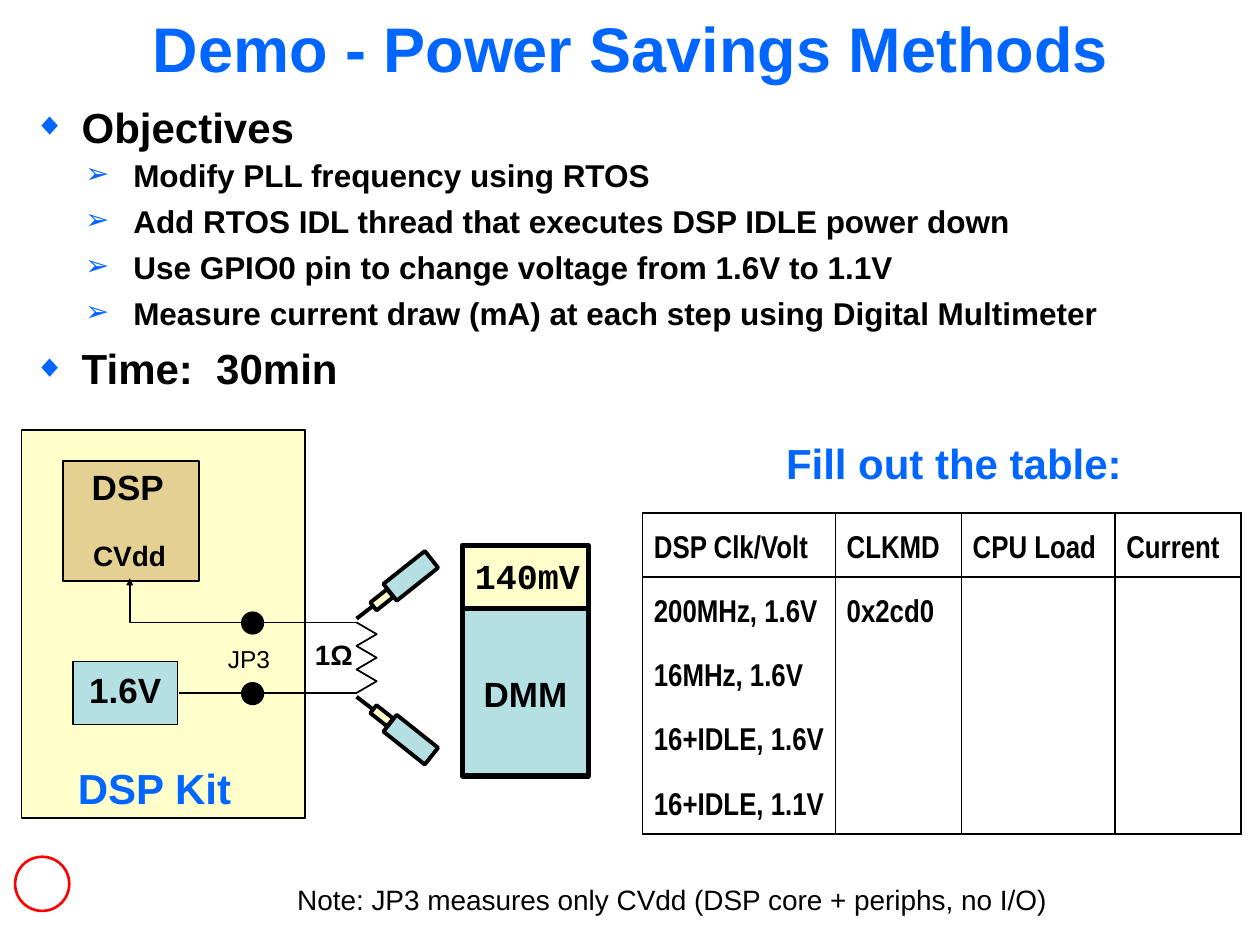
from lxml.etree import SubElement
from pptx import Presentation
from pptx.dml.color import RGBColor
from pptx.enum.shapes import MSO_CONNECTOR, MSO_SHAPE
from pptx.enum.text import MSO_ANCHOR, PP_ALIGN
from pptx.oxml.ns import qn
from pptx.util import Inches, Pt

BLACK, BLUE = "000000", "0066FF"
CREAM, TAN, TEAL = "FFFFCC", "E5D093", "B5E0E3"
TOP_WIRE, BOTTOM_WIRE = 4.94, 5.5
MIRROR = (TOP_WIRE + BOTTOM_WIRE) / 2
RESISTOR_LEFT = 2.83


def color(hex_text):
    return RGBColor.from_string(hex_text)


def format_text(para, size, ink=BLACK, bold=True, face="Arial"):
    for span in para.runs:
        span.font.size = Pt(size)
        span.font.bold = bold
        span.font.name = face
        span.font.color.rgb = color(ink)


def add_label(page, text, left, top, width, height, size, ink=BLACK, bold=True,
              face="Arial", spacing=0.8):
    box = page.shapes.add_textbox(Inches(left), Inches(top), Inches(width), Inches(height))
    box.text_frame.word_wrap = False
    box.text_frame.margin_right = Inches(0)
    box.text_frame.text = text
    for para in box.text_frame.paragraphs:
        para.alignment = PP_ALIGN.LEFT
        para.line_spacing = spacing
        format_text(para, size, ink, bold, face)
    return box


def add_title(page, text):
    title = add_label(page, text, 0.17, 0.17, 9.67, 1.25, 36, BLUE, spacing=0.75)
    frame = title.text_frame
    frame.word_wrap = True
    frame.margin_left = frame.margin_right = Inches(0.05)
    frame.paragraphs[0].alignment = PP_ALIGN.CENTER


def add_bullets(page, lines, left, top, width, height, size, symbol, percent,
                spacing=0.8, gap=0):
    box = add_label(page, "\n".join(lines), left, top, width, height, size, spacing=spacing)
    for index, para in enumerate(box.text_frame.paragraphs):
        properties = para._p.get_or_add_pPr()
        properties.set("marL", str(Inches(0.38)))
        properties.set("indent", str(Inches(-0.38)))
        bullet_color = SubElement(properties, qn("a:buClr"))
        SubElement(bullet_color, qn("a:srgbClr"), val=BLUE)
        SubElement(properties, qn("a:buSzPct"), val=str(percent * 1000))
        SubElement(properties, qn("a:buFont"), typeface="Arial")
        SubElement(properties, qn("a:buChar"), char=symbol)
        if index:
            para.space_before = Pt(gap)


def add_block(page, left, top, width, height, fill, weight=1,
              kind=MSO_SHAPE.RECTANGLE, rotation=0, edge=BLACK):
    block = page.shapes.add_shape(kind, Inches(left), Inches(top), Inches(width), Inches(height))
    block.shadow.inherit = False
    block.fill.solid()
    block.fill.fore_color.rgb = color(fill)
    block.line.color.rgb = color(edge)
    block.line.width = Pt(weight)
    block.rotation = rotation
    return block


def add_wire(page, start, end, weight=1, kind=MSO_CONNECTOR.STRAIGHT):
    wire = page.shapes.add_connector(kind, *(Inches(value) for value in (*start, *end)))
    wire.line.color.rgb = color(BLACK)
    wire.line.width = Pt(weight)
    SubElement(wire._element.spPr, qn("a:effectLst"))
    return wire


def add_supply_arrow(page):
    """Right-angled wire from the upper jumper pin up to CVdd."""
    arrow = add_wire(page, (1.03, 4.59), (1.92, TOP_WIRE), kind=MSO_CONNECTOR.ELBOW)
    properties = arrow._element.spPr
    properties.find(qn("a:xfrm")).set("rot", "10800000")
    properties.find(qn("a:prstGeom")).set("prst", "bentConnector2")
    SubElement(properties.find(qn("a:ln")), qn("a:tailEnd"), type="triangle", w="sm", len="sm")


def add_resistor(page):
    step = (BOTTOM_WIRE - TOP_WIRE) / 6
    points = [(Inches(RESISTOR_LEFT + 0.16 * (index % 2)), Inches(TOP_WIRE + step * index))
              for index in range(7)]
    builder = page.shapes.build_freeform(*points[0])
    builder.add_line_segments(points[1:], close=False)
    resistor = builder.convert_to_shape()
    resistor.shadow.inherit = False
    resistor.fill.background()
    resistor.line.color.rgb = color(BLACK)
    resistor.line.width = Pt(1)


def add_probe(page, side):
    """Meter probe above (side -1) or below (side 1) the resistor."""
    angle = 180 + side * 38.5
    for center_x, offset, width, height, fill in (
            (3.26, 0.65, 0.42, 0.17, TEAL), (3.03, 0.46, 0.17, 0.08, CREAM)):
        add_block(page, center_x - width / 2, MIRROR + side * offset - height / 2,
                  width, height, fill, 2.25, rotation=angle)
    add_wire(page, (2.96, MIRROR + side * 0.41), (RESISTOR_LEFT, MIRROR + side * 0.31), 2.25)


def add_board(page):
    add_block(page, 0.17, 3.41, 2.25, 3.08, CREAM)
    add_block(page, 0.5, 3.66, 1.08, 0.95, TAN)
    add_label(page, "DSP", 0.63, 3.71, 0.86, 0.37, 20)
    add_label(page, "CVdd", 0.64, 4.28, 0.78, 0.32, 16)
    supply = add_block(page, 0.58, 5.25, 0.83, 0.5, TEAL)
    frame = supply.text_frame
    frame.text = "1.6V"
    frame.word_wrap = False
    frame.vertical_anchor = MSO_ANCHOR.MIDDLE
    frame.paragraphs[0].alignment = PP_ALIGN.CENTER
    frame.paragraphs[0].line_spacing = 0.8
    format_text(frame.paragraphs[0], 20)
    add_label(page, "DSP Kit", 0.52, 6.08, 1.64, 0.42, 24, BLUE)
    add_label(page, "JP3", 1.71, 5.11, 0.53, 0.29, 14, bold=False)


def add_circuit(page):
    for height in (TOP_WIRE, BOTTOM_WIRE):
        add_block(page, 1.92, height - 0.08, 0.17, 0.17, BLACK, kind=MSO_SHAPE.OVAL)
        add_wire(page, (1.92, height), (RESISTOR_LEFT, height))
    add_wire(page, (1.42, BOTTOM_WIRE), (1.92, BOTTOM_WIRE))
    add_supply_arrow(page)
    add_resistor(page)
    add_label(page, "1Ω", 2.4, 5.06, 0.49, 0.32, 16)
    for side in (-1, 1):
        add_probe(page, side)


def add_meter(page):
    add_block(page, 3.67, 4.83, 1, 1.33, TEAL, 3)
    add_block(page, 3.67, 4.33, 1, 0.5, CREAM, 3)
    add_label(page, "140mV", 3.67, 4.42, 1.03, 0.37, 20, face="Courier New")
    add_label(page, "DMM", 3.74, 5.35, 0.86, 0.37, 20)


def set_borders(cell, visible):
    properties = cell._tc.get_or_add_tcPr()
    for side in "LRTB":
        border = SubElement(properties, qn("a:ln" + side), w=str(Pt(1)))
        if side in visible:
            fill = SubElement(border, qn("a:solidFill"))
            SubElement(fill, qn("a:srgbClr"), val=BLACK)
        else:
            SubElement(border, qn("a:noFill"))


def add_results_table(page):
    rows = [("DSP Clk/Volt", "CLKMD", "CPU Load", "Current"),
            ("200MHz, 1.6V", "0x2cd0", "", ""),
            ("16MHz, 1.6V", "", "", ""),
            ("16+IDLE, 1.6V", "", "", ""),
            ("16+IDLE, 1.1V", "", "", "")]
    widths = (1.53, 1, 1.22, 1)
    table = page.shapes.add_table(len(rows), len(widths), Inches(5.1), Inches(4.07),
                                  Inches(sum(widths)), Inches(2.55)).table
    table.first_row = table.horz_banding = False
    for column, width in zip(table.columns, widths):
        column.width = Inches(width)
    for row_index, texts in enumerate(rows):
        table.rows[row_index].height = Inches(0.51)
        visible = "LR" + {0: "TB", 1: "T", len(rows) - 1: "B"}.get(row_index, "")
        for column_index, text in enumerate(texts):
            cell = table.cell(row_index, column_index)
            cell.text = text
            cell.margin_left, cell.margin_right = Inches(0.09), Inches(0)
            cell.margin_top, cell.margin_bottom = Inches(0.1), Inches(0.02)
            cell.vertical_anchor = MSO_ANCHOR.MIDDLE
            set_borders(cell, visible)
            cell.fill.background()
            format_text(cell.text_frame.paragraphs[0], 18, face="Arial Narrow")


def main():
    deck = Presentation()
    deck.slide_width, deck.slide_height = Inches(10), Inches(7.5)
    page = deck.slides.add_slide(deck.slide_layouts[6])
    add_title(page, "Demo - Power Savings Methods")
    add_block(page, 0.12, 6.8, 0.43, 0.43, "FFFFFF", 1.5, MSO_SHAPE.OVAL, edge="FF0000")
    add_bullets(page, ["Objectives"], 0.17, 0.83, 2.36, 0.42, 24, "◆", 75)
    add_bullets(page, ["Modify PLL frequency using RTOS",
                       "Add RTOS IDL thread that executes DSP IDLE power down",
                       "Use GPIO0 pin to change voltage from 1.6V to 1.1V",
                       "Measure current draw (mA) at each step using Digital Multimeter"],
                0.58, 1.27, 8.4, 1.41, 18, "➢", 90, spacing=0.7, gap=11.2)
    add_bullets(page, ["Time:  30min"], 0.17, 2.75, 2.61, 0.42, 24, "◆", 75)
    add_board(page)
    add_circuit(page)
    add_meter(page)
    add_label(page, "Fill out the table:", 6.14, 3.5, 2.86, 0.42, 24, BLUE)
    add_results_table(page)
    add_label(page, "Note: JP3 measures only CVdd (DSP core + periphs, no I/O)",
              2.26, 7.01, 6.15, 0.32, 16, bold=False)
    deck.save("out.pptx")


if __name__ == "__main__":
    main()
